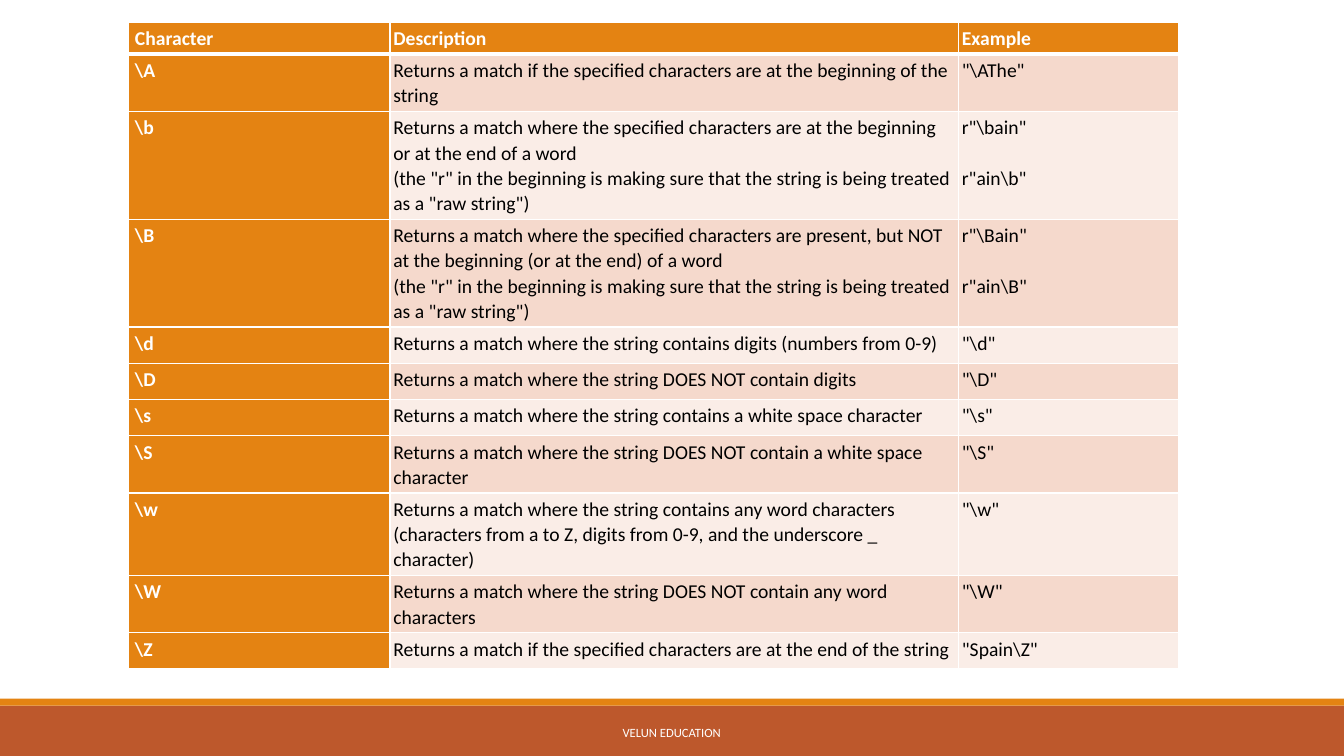
from copy import deepcopy

from pptx import Presentation
from pptx.dml.color import RGBColor
from pptx.enum import shapes, text
from pptx.oxml import ns, xmlchemy
from pptx.util import Pt

ORANGE, RUST, WHITE, BLACK = "E48312", "BD582C", "FFFFFF", "000000"
BANDS = ("F5D9CC", "FAEDE7")
RAW_NOTE = '\n(the "r" in the beginning is making sure that the string is being treated as a "raw string")'
COLUMN_WIDTHS = (187.2, 406.1, 157)
ROWS = (
    (20.2, "Character", "Description", "Example"),
    (26.6, r"\A", "Returns a match if the specified characters are at the beginning of the string", r'"\AThe"'),
    (59.8, r"\b", "Returns a match where the specified characters are at the beginning "
     "or at the end of a word" + RAW_NOTE, 'r"\\bain"\n\nr"ain\\b"'),
    (67, r"\B", "Returns a match where the specified characters are present, but NOT "
     "at the beginning (or at the end) of a word" + RAW_NOTE, 'r"\\Bain"\n\nr"ain\\B"'),
    (25.9, r"\d", "Returns a match where the string contains digits (numbers from 0-9)", r'"\d"'),
    (25.9, r"\D", "Returns a match where the string DOES NOT contain digits", r'"\D"'),
    (25.9, r"\s", "Returns a match where the string contains a white space character", r'"\s"'),
    (26.6, r"\S", "Returns a match where the string DOES NOT contain a white space character", r'"\S"'),
    (39.6, r"\w", "Returns a match where the string contains any word characters "
     "(characters from a to Z, digits from 0-9, and the underscore _ character)", r'"\w"'),
    (26.6, r"\W", "Returns a match where the string DOES NOT contain any word characters", r'"\W"'),
    (25.9, r"\Z", "Returns a match if the specified characters are at the end of the string", r'"Spain\Z"'),
)


def paint(color_format, color):
    """Set a fill to a solid colour given as a hex string."""
    color_format.solid()
    color_format.fore_color.rgb = RGBColor.from_string(color)


def write(frame, content, size=14, color=BLACK, bold=False, align=None, line=None, gap=None):
    """Write one formatted paragraph, with line feeds as line breaks."""
    paragraph = frame.paragraphs[0]
    paragraph.text = content
    paragraph.alignment = align
    paragraph.line_spacing = line
    if gap is not None:
        paragraph.space_before = paragraph.space_after = Pt(gap)
    for run in paragraph.runs:
        run.font.name, run.font.size, run.font.bold = "Calibri", Pt(size), bold
        paint(run.font.fill, color)
    properties = paragraph.runs[0].font._element
    for line_break in paragraph._p.findall(ns.qn("a:br")):
        line_break.append(deepcopy(properties))


def add_border(cell, side, width):
    """Add a white border to one side of a cell."""
    border = xmlchemy.OxmlElement(f"a:ln{side}")
    border.set("w", str(Pt(width)))
    fill = xmlchemy.OxmlElement("a:solidFill")
    color = xmlchemy.OxmlElement("a:srgbClr")
    color.set("val", WHITE)
    fill.append(color)
    border.append(fill)
    cell._tc.get_or_add_tcPr().append(border)


def format_cell(cell, content, row, column):
    """Fill in one table cell by its place in the grid."""
    heading = row == 0 or column == 0
    for side in "LRTB":
        thick = (row == 0 and side == "B") or (row == 1 and side == "T")
        add_border(cell, side, 3 if thick else 1)
    paint(cell.fill, ORANGE if heading else BANDS[(row - 1) % 2])
    cell.margin_left = Pt(5 if column == 0 else 2.4)
    cell.margin_right = cell.margin_top = cell.margin_bottom = Pt(2.4)
    write(cell.text_frame, content, color=WHITE if heading else BLACK, bold=heading, line=1.06, gap=15)


def add_reference_table(slide):
    """Add the table of special sequences."""
    frame = slide.shapes.add_table(len(ROWS), len(COLUMN_WIDTHS), Pt(91.4), Pt(15.8), Pt(750.3), Pt(452))
    table = frame.table
    table.first_col = True
    for column, width in zip(table.columns, COLUMN_WIDTHS):
        column.width = Pt(width)
    for row, (height, *contents) in enumerate(ROWS):
        table.rows[row].height = Pt(height)
        for column, content in enumerate(contents):
            format_cell(table.cell(row, column), content, row, column)
    frame.height = Pt(452)


def add_band(slide, top, height, color):
    """Add a plain band across the slide."""
    band = slide.shapes.add_shape(shapes.MSO_SHAPE.RECTANGLE, 0, Pt(top), Pt(960), Pt(height))
    band.shadow.inherit = False
    paint(band.fill, color)
    band.line.fill.background()


def add_footer(slide, content):
    """Add the centred footer text."""
    frame = slide.shapes.add_textbox(Pt(290), Pt(508.5), Pt(379.5), Pt(28.8)).text_frame
    frame.word_wrap = True
    frame.vertical_anchor = text.MSO_ANCHOR.MIDDLE
    write(frame, content, size=9, color=WHITE, align=text.PP_ALIGN.CENTER)


def main():
    """Build and save the slide."""
    presentation = Presentation()
    presentation.slide_width, presentation.slide_height = Pt(960), Pt(540)
    slide = presentation.slides.add_slide(presentation.slide_layouts[6])
    add_band(slide, 504, 36, RUST)
    add_band(slide, 499, 5, ORANGE)
    add_reference_table(slide)
    add_footer(slide, "VELUN EDUCATION")
    presentation.save("out.pptx")


if __name__ == "__main__":
    main()
